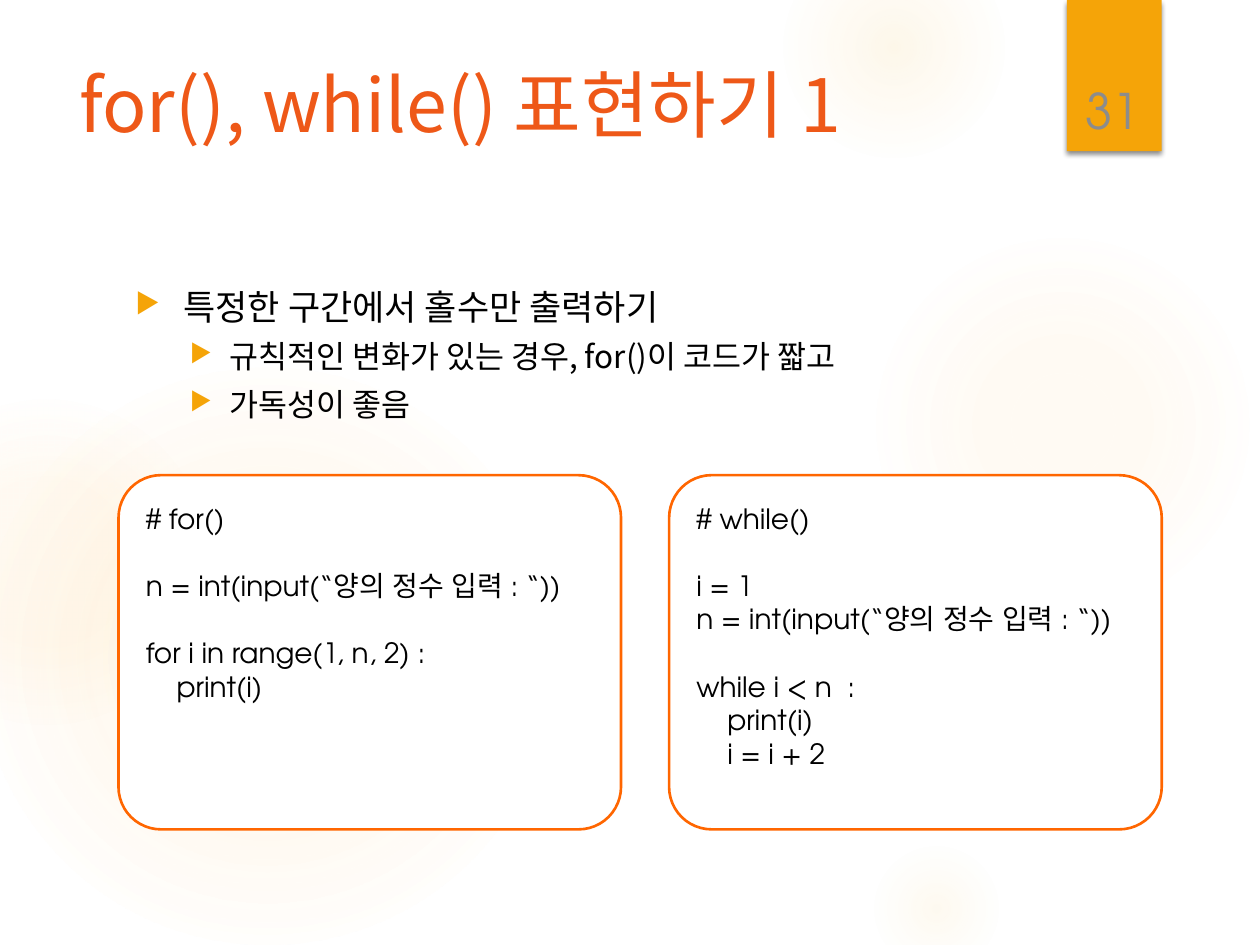
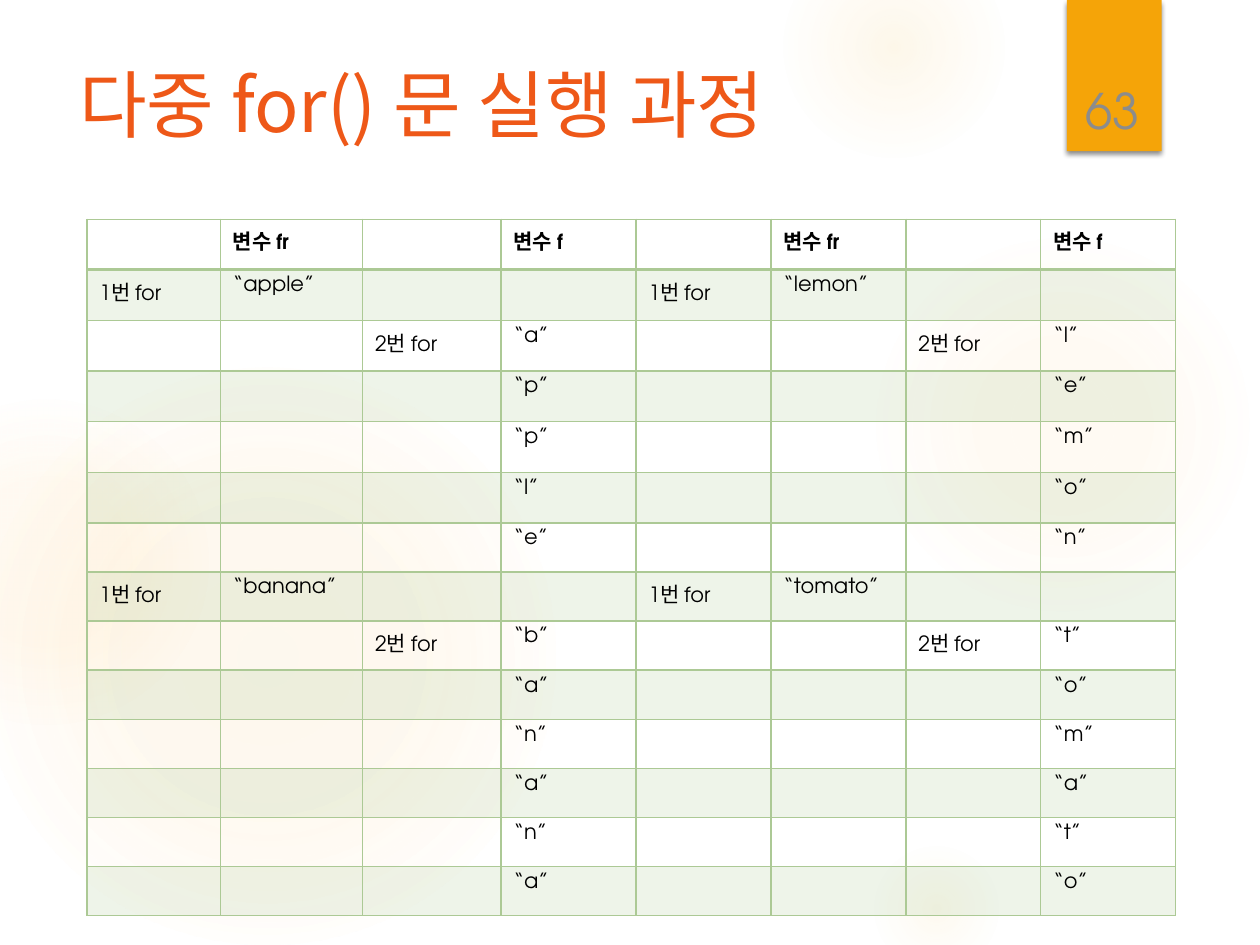
from lxml import etree
from pptx import Presentation
from pptx.dml.color import RGBColor
from pptx.enum.shapes import MSO_SHAPE as Shape
from pptx.enum.text import MSO_ANCHOR as Anchor, PP_ALIGN as Align
from pptx.oxml import parse_xml
from pptx.oxml.ns import nsdecls, qn
from pptx.util import Cm, Pt

# Content
LOOPS = {
    "no": "31",
    "title": "for(), while() 표현하기 1",
    "points": [
        (0, "특정한 구간에서 홀수만 출력하기"),
        (1, "규칙적인 변화가 있는 경우, for()이 코드가 짧고"),
        (1, "가독성이 좋음"),
    ],
    "codes": [
        """# for()

n = int(input(“양의 정수 입력 : “))

for i in range(1, n, 2) :
    print(i)""",
        """# while()

i = 1
n = int(input(“양의 정수 입력 : “))

while i < n  :
    print(i)
    i = i + 2""",
    ],
}
TRACE = {
    "no": "63",
    "title": "다중 for() 문 실행 과정",
    "head": ["", "변수 fr", "", "변수 f"] * 2,
    "outer": "1번 for",
    "inner": "2번 for",
    "words": [("apple", "lemon"), ("banana", "tomato")],
}

# Look
WHITE = RGBColor(0xFF, 0xFF, 0xFF)
BLACK = RGBColor(0, 0, 0)
RED = RGBColor(0xEE, 0x58, 0x18)
AMBER = RGBColor(0xF5, 0xA4, 0x08)
GLOW = RGBColor(0xFA, 0xC9, 0x6A)
ORANGE = RGBColor(0xFF, 0x66, 0x00)
GREEN = RGBColor(0xAC, 0xC9, 0x95)
GREY = RGBColor(0x8C, 0x8C, 0x8C)
SANS = "Noto Sans CJK KR"
ROUND = "TeX Gyre Adventor"

# Glows: left, top, size in cm; then (stop %, opacity %)
GLOWS = [
    (17.5, 4.65, 7.82, [(0, 7), (36, 6), (69, 0)]),
    (15.8, -1.27, 4.45, [(0, 14), (36, 7), (73, 0)]),
    (17.5, 16.94, 2.74, [(0, 10), (31, 5), (66, 0)]),
    (-0.43, 7.42, 11.63, [(0, 11), (36, 10), (75, 0)]),
    (-2.34, 8.05, 6.55, [(0, 8), (36, 8), (72, 0)]),
]
LEVELS = [(1.14, 0.97, 20), (2.06, 0.79, 18)]  # indent, hang, size
CARDS = [(2.39, 10.13), (13.49, 9.93)]  # left, width
COLS = [2.69, 2.87, 2.79] + [2.72] * 5
ROWS = [1.02] * 6 + [0.99] * 8


def add_run(para, text, size, color, font, asian=None, bold=False):
    run = para.add_run()
    run.text = text
    run.font.size = Pt(size)
    run.font.color.rgb = color
    run.font.name = font
    run.font.bold = bold
    props = run.font._element
    etree.SubElement(props, qn("a:ea")).set("typeface", asian or font)


def add_box(slide, *place):
    frame = slide.shapes.add_textbox(*map(Cm, place)).text_frame
    frame.word_wrap = True
    return frame


def add_shape(slide, kind, *place):
    shape = slide.shapes.add_shape(kind, *map(Cm, place))
    shape.shadow.inherit = False
    shape.line.fill.background()
    return shape


def add_glow(slide, left, top, size, stops):
    shape = add_shape(slide, Shape.OVAL, left, top, size, size)
    marks = "".join(
        f'<a:gs pos="{pos * 1000}"><a:srgbClr val="{GLOW}">'
        f'<a:alpha val="{alpha * 1000}"/></a:srgbClr></a:gs>'
        for pos, alpha in stops)
    grad = parse_xml(
        f'<a:gradFill {nsdecls("a")}><a:gsLst>{marks}</a:gsLst>'
        '<a:path path="circle"><a:fillToRect l="50000" t="50000" '
        'r="50000" b="50000"/></a:path></a:gradFill>')
    shape._element.spPr.find(qn("a:prstGeom")).addnext(grad)


def add_tab(slide):
    """Draw the amber page tab with its soft shadow."""
    tab = add_shape(slide, Shape.RECTANGLE, 21.51, 0, 1.91, 3.05)
    tab.fill.solid()
    tab.fill.fore_color.rgb = AMBER
    tab._element.spPr.find(qn("a:effectLst")).append(parse_xml(
        f'<a:outerShdw {nsdecls("a")} blurRad="{Pt(3)}" dist="{Pt(2)}" '
        'dir="5400000" rotWithShape="0"><a:srgbClr val="000000">'
        '<a:alpha val="45000"/></a:srgbClr></a:outerShdw>'))


def add_base(deck, data):
    """Add a slide with the glows, tab, title and page number."""
    slide = deck.slides.add_slide(deck.slide_layouts[6])
    for glow in GLOWS:
        add_glow(slide, *glow)
    add_tab(slide)
    para = add_box(slide, 1.35, 1.27, 19.61, 3.89).paragraphs[0]
    para.line_spacing = 0.9
    add_run(para, data["title"], 42, RED, SANS)
    frame = add_box(slide, 21.56, 0.81, 1.75, 2.13)
    frame.vertical_anchor = Anchor.BOTTOM
    para = frame.paragraphs[0]
    para.alignment = Align.CENTER
    add_run(para, data["no"], 28, GREY, ROUND)
    return slide


def add_points(slide, points):
    frame = add_box(slide, 2.31, 5.72, 18.64, 11.66)
    for i, (level, text) in enumerate(points):
        para = frame.add_paragraph() if i else frame.paragraphs[0]
        indent, hang, size = LEVELS[level]
        props = para._p.get_or_add_pPr()
        props.set("marL", str(Cm(indent)))
        props.set("indent", str(-Cm(hang)))
        for xml in (f'buClr {nsdecls("a")}><a:srgbClr val="{AMBER}"/></a:buClr',
                    f'buSzPct {nsdecls("a")} val="80000"/',
                    f'buChar {nsdecls("a")} char="▶"/'):
            props.append(parse_xml(f"<a:{xml}>"))
        para.level = level
        para.line_spacing = 0.9
        if i:
            para.space_before = Pt(8)
        add_run(para, text, size, BLACK, SANS)


def add_code(slide, left, width, code):
    card = add_shape(slide, Shape.ROUNDED_RECTANGLE, left, 9.58, width, 7.14)
    card.adjustments[0] = 0.12
    card.fill.solid()
    card.fill.fore_color.rgb = WHITE
    card.line.color.rgb = ORANGE
    card.line.width = Pt(1.5)
    frame = add_box(slide, left + 0.3, 9.98, 9.65, 5.5)
    para, gap = frame.paragraphs[0], 0
    for i, line in enumerate(code.splitlines()):
        if not line:
            gap += 19.2
            continue
        if i:
            para = frame.add_paragraph()
        if gap:
            para.space_before = Pt(gap)
        gap = 0
        add_run(para, line, 16, BLACK, ROUND)


def trace(data):
    """List the table rows: each word, then its letters one by one."""
    rows = [data["head"]]
    for pair in data["words"]:
        rows.append([text for word in pair
                     for text in (data["outer"], f"“{word}”", "", "")])
        for i, chars in enumerate(zip(*pair)):
            call = "" if i else data["inner"]
            rows.append([text for char in chars
                         for text in ("", "", call, f"“{char}”")])
    return rows


def style_cell(cell, row):
    if row % 2:
        cell.fill.solid()
        cell.fill.fore_color.rgb = GREEN
        tint = cell._tc.tcPr.find(f".//{qn('a:srgbClr')}")
        etree.SubElement(tint, qn("a:alpha")).set("val", "20000")
    else:
        cell.fill.background()
    widths = {"L": 1, "R": 1, "T": 2 if row == 1 else 1, "B": 1 if row else 2}
    for i, (side, width) in enumerate(widths.items()):
        cell._tc.tcPr.insert(i, parse_xml(
            f'<a:ln{side} {nsdecls("a")} w="{Pt(width)}"><a:solidFill>'
            f'<a:srgbClr val="{GREEN}"/></a:solidFill></a:ln{side}>'))


def add_trace(slide, rows):
    table = slide.shapes.add_table(
        len(ROWS), len(COLS), Cm(1.75), Cm(4.42),
        Cm(sum(COLS)), Cm(sum(ROWS))).table
    table.first_row = table.horz_banding = False
    for col, width in zip(table.columns, COLS):
        col.width = Cm(width)
    for r, (texts, height) in enumerate(zip(rows, ROWS)):
        table.rows[r].height = Cm(height)
        for c, text in enumerate(texts):
            cell = table.cell(r, c)
            if text:
                para = cell.text_frame.paragraphs[0]
                add_run(para, text, 12, BLACK, ROUND, SANS, bold=r == 0)
            else:
                cell.margin_top = cell.margin_bottom = 0
            style_cell(cell, r)


def main():
    deck = Presentation()
    deck.slide_width, deck.slide_height = Cm(25.4), Cm(19.05)
    slide = add_base(deck, LOOPS)
    add_points(slide, LOOPS["points"])
    for (left, width), code in zip(CARDS, LOOPS["codes"]):
        add_code(slide, left, width, code)
    add_trace(add_base(deck, TRACE), trace(TRACE))
    deck.save("out.pptx")


if __name__ == "__main__":
    main()
